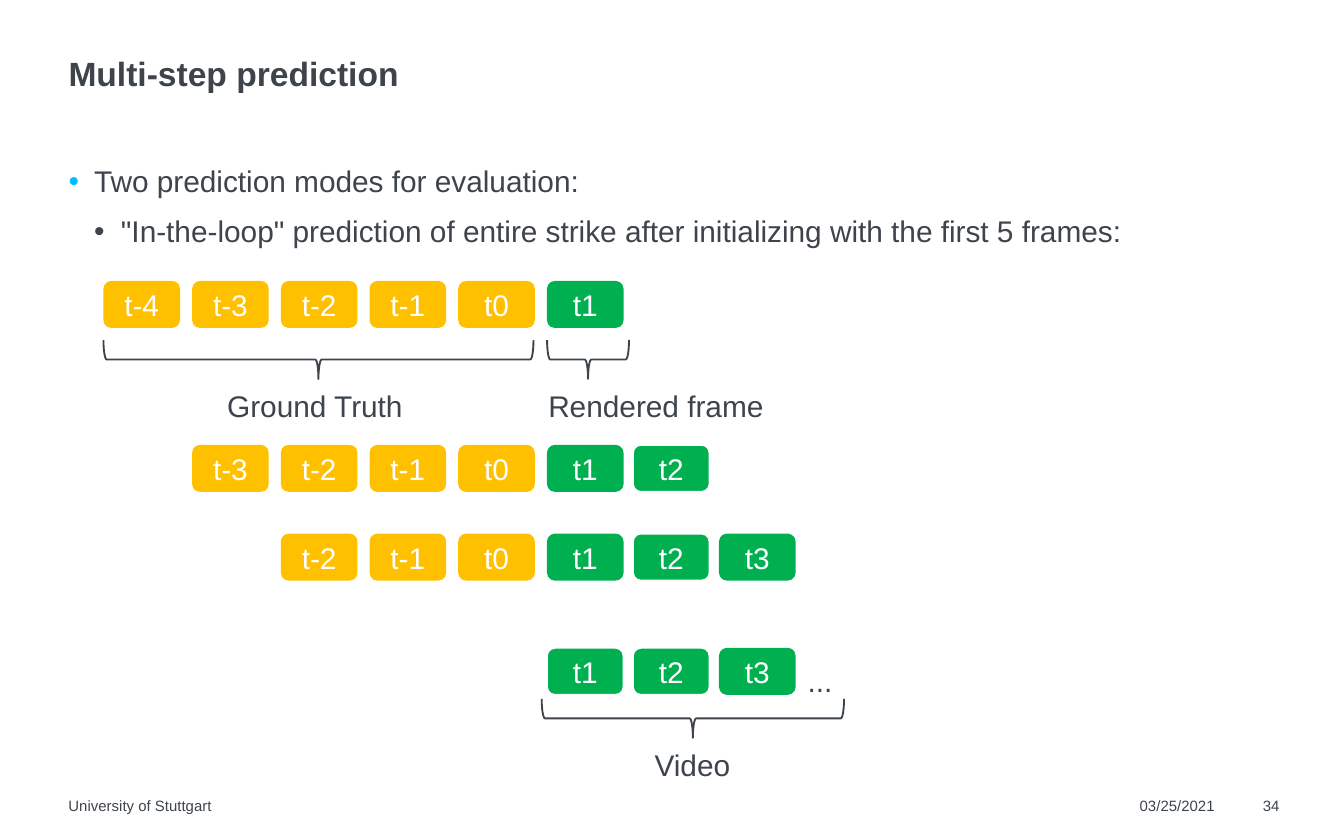
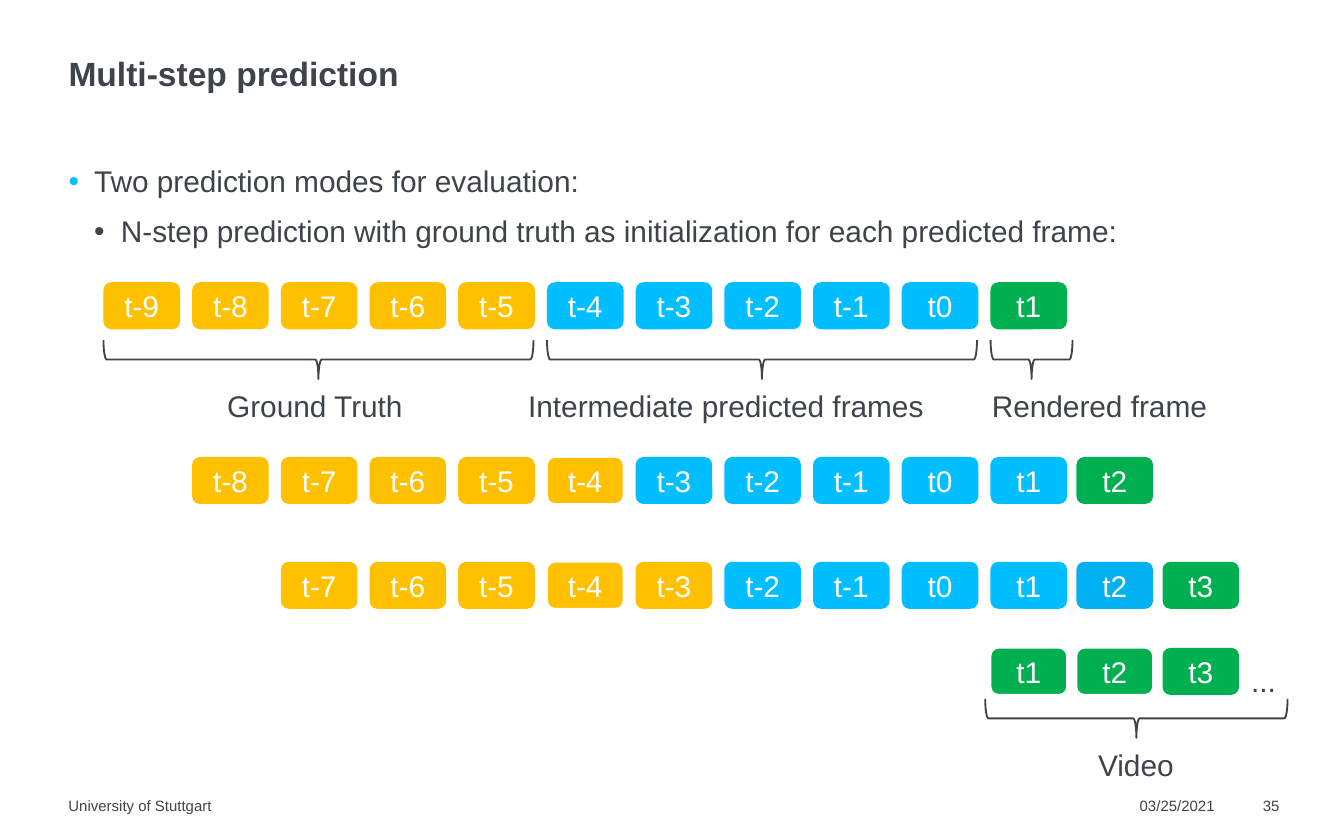
from lxml.etree import SubElement
from pptx import Presentation
from pptx.dml.color import RGBColor
from pptx.enum.shapes import MSO_SHAPE
from pptx.enum.text import MSO_ANCHOR, MSO_AUTO_SIZE, PP_ALIGN
from pptx.oxml.ns import qn
from pptx.util import Inches, Pt

FONT = "Arial"
DARK = "3E444C"
WHITE = "FFFFFF"
TRUTH = "FFC000"
PREDICTED = "00BEFF"
PREDICTED_DEEP = "00B0F0"
RENDERED = "00B050"

FIRST_LEFT = 0.77
PITCH = 0.66
RENDERED_PITCH = 0.64
FRAME_WIDTH, FRAME_HEIGHT = 0.57, 0.35
BRACE_DEPTH = 0.29
BRACE_TOP = 2.53
TRUTH_BRACE = 3.2
RENDERED_BRACE = 0.61
LABEL_TOP = 2.83
VIDEO_TOP = 4.82


def rgb(color):
    return RGBColor.from_string(color)


def write(paragraph, text, size=16, color=DARK, bold=False, align=PP_ALIGN.LEFT, spacing=None):
    paragraph.text = text
    paragraph.alignment = align
    if spacing:
        paragraph.line_spacing = spacing
    paragraph.font.name = FONT
    paragraph.font.size = Pt(size)
    paragraph.font.bold = bold
    paragraph.font.color.rgb = rgb(color)


def add_text_box(slide, left, top, width, height, grow=False):
    box = slide.shapes.add_textbox(Inches(left), Inches(top), Inches(width), Inches(height))
    frame = box.text_frame
    frame.margin_left = frame.margin_right = frame.margin_top = frame.margin_bottom = 0
    frame.word_wrap = True
    frame.auto_size = MSO_AUTO_SIZE.SHAPE_TO_FIT_TEXT if grow else MSO_AUTO_SIZE.NONE
    return frame


def add_label(slide, text, left, top, width, height=0.29, **text_format):
    frame = add_text_box(slide, left, top, width, height, grow=True)
    write(frame.paragraphs[0], text, **text_format)


def add_bullet(paragraph, color, margin, hanging):
    properties = paragraph._p.get_or_add_pPr()
    properties.set("marL", str(Inches(margin)))
    properties.set("indent", str(-Inches(hanging)))
    bullet_color = SubElement(properties, qn("a:buClr"))
    SubElement(bullet_color, qn("a:srgbClr"), val=color)
    SubElement(properties, qn("a:buFont"), typeface=FONT)
    SubElement(properties, qn("a:buChar"), char="•")


def add_body(slide, mode):
    frame = add_text_box(slide, 0.51, 1.16, 9.02, 4.57)
    heading = frame.paragraphs[0]
    add_bullet(heading, PREDICTED, 0.19, 0.19)
    write(heading, "Two prediction modes for evaluation:", spacing=1.2)
    detail = frame.add_paragraph()
    detail.level = 1
    detail.space_before = Pt(3.8)
    add_bullet(detail, DARK, 0.39, 0.2)
    write(detail, mode, spacing=1.2)


def add_frame(slide, step, left, top, color, outlined):
    shape = slide.shapes.add_shape(MSO_SHAPE.ROUNDED_RECTANGLE, Inches(left), Inches(top),
                                   Inches(FRAME_WIDTH), Inches(FRAME_HEIGHT))
    shape.shadow.inherit = False
    shape.fill.solid()
    shape.fill.fore_color.rgb = rgb(color)
    if outlined:
        shape.line.color.rgb = rgb(WHITE)
        shape.line.width = Pt(1)
    else:
        shape.line.fill.background()
    shape.text_frame.vertical_anchor = MSO_ANCHOR.MIDDLE
    write(shape.text_frame.paragraphs[0], f"t{step}", color=WHITE, align=PP_ALIGN.CENTER)


def add_brace(slide, left, top, length):
    shape = slide.shapes.add_shape(
        MSO_SHAPE.RIGHT_BRACE, Inches(left + (length - BRACE_DEPTH) / 2),
        Inches(top + (BRACE_DEPTH - length) / 2), Inches(BRACE_DEPTH), Inches(length))
    shape.rotation = 270
    shape.element.spPr.find(qn("a:xfrm")).set("flipH", "1")
    shape.shadow.inherit = False
    shape.fill.background()
    shape.line.color.rgb = rgb(DARK)
    shape.line.width = Pt(1)


def frame_left(step, first_step):
    return (FIRST_LEFT + PITCH * (min(step, 1) - first_step)
            + RENDERED_PITCH * max(step - 1, 0))


def add_row(slide, first_step, top, colors, outlined=()):
    for step, color in colors.items():
        add_frame(slide, step, frame_left(step, first_step), top, color,
                  step in outlined and color != PREDICTED)


def add_bracketed_label(slide, text, brace_left, length, label_left, width):
    add_brace(slide, brace_left, BRACE_TOP, length)
    add_label(slide, text, label_left, LABEL_TOP, width, spacing=1.2)


def add_video(slide, first_step):
    left = frame_left(1, first_step)
    add_row(slide, first_step, VIDEO_TOP, dict.fromkeys(range(1, 4), RENDERED), (1, 2))
    add_label(slide, "...", left + 1.94, 4.88, 0.45, spacing=1.2)
    add_brace(slide, left - 0.04, 5.2, 2.25)
    add_label(slide, "Video", left + 0.8, 5.5, 0.61, spacing=1.2)


def add_slide(presentation, number, mode, first_step):
    slide = presentation.slides.add_slide(presentation.slide_layouts[6])
    title = add_text_box(slide, 0.51, 0.43, 9.02, 0.63)
    write(title.paragraphs[0], "Multi-step prediction", size=18, bold=True, spacing=0.9)
    add_body(slide, mode)
    add_label(slide, "03/25/2021", 8.48, 5.93, 0.58, 0.14, size=8)
    add_label(slide, "University of Stuttgart", 0.51, 5.93, 6.63, 0.14, size=8)
    add_label(slide, str(number), 9.28, 5.93, 0.24, 0.14, size=8, align=PP_ALIGN.RIGHT)

    rendered_left = frame_left(1, first_step)
    add_bracketed_label(slide, "Ground Truth", FIRST_LEFT, TRUTH_BRACE, 1.69, 1.72)
    add_bracketed_label(slide, "Rendered frame", rendered_left, RENDERED_BRACE,
                        rendered_left + 0.01, 1.96)
    add_video(slide, first_step)
    return slide


def add_loop_slide(presentation):
    first_step = -4
    slide = add_slide(
        presentation, 34,
        '"In-the-loop" prediction of entire strike after initializing with the first 5 frames:',
        first_step)
    for row, top in enumerate((2.09, 3.31, 3.97)):
        colors = {step: TRUTH if step < 1 else RENDERED
                  for step in range(first_step + row, row + 2)}
        add_row(slide, first_step, top, colors, outlined=(2,))


def add_n_step_slide(presentation):
    first_step = -9
    slide = add_slide(
        presentation, 35,
        "N-step prediction with ground truth as initialization for each predicted frame:",
        first_step)
    predicted_left = frame_left(-4, first_step)
    add_bracketed_label(slide, "Intermediate predicted frames", predicted_left, TRUTH_BRACE,
                        predicted_left - 0.14, 3.1)
    for row, top in enumerate((2.1, 3.4, 4.18)):
        start, last = first_step + row, row + 1
        colors = {step: TRUTH if step < start + 5 else PREDICTED for step in range(start, last)}
        colors[last] = RENDERED
        if last == 3:
            colors[2] = PREDICTED_DEEP
        add_row(slide, first_step, top, colors, outlined=(-4,))


def main():
    presentation = Presentation()
    presentation.slide_width = Inches(10)
    presentation.slide_height = Inches(6.25)
    add_loop_slide(presentation)
    add_n_step_slide(presentation)
    presentation.save("out.pptx")


if __name__ == "__main__":
    main()
